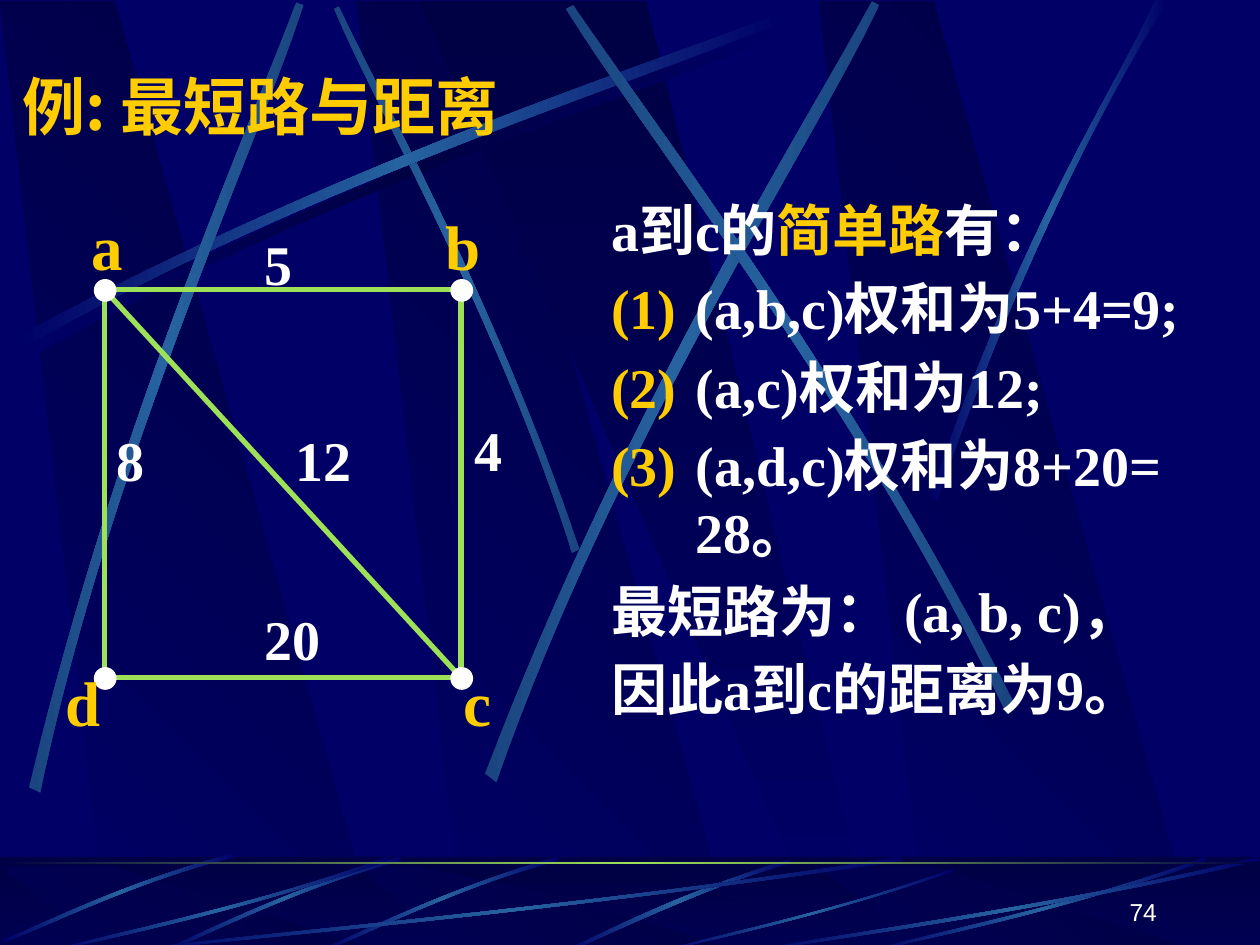
from lxml import etree
from pptx import Presentation
from pptx.dml.color import RGBColor
from pptx.enum.shapes import MSO_CONNECTOR, MSO_SHAPE
from pptx.enum.text import MSO_ANCHOR, MSO_AUTO_SIZE, PP_ALIGN
from pptx.oxml.ns import qn
from pptx.util import Inches, Pt

RECT, OVAL = MSO_SHAPE.RECTANGLE, MSO_SHAPE.OVAL
LINE = MSO_CONNECTOR.STRAIGHT
LEFT, RIGHT = PP_ALIGN.LEFT, PP_ALIGN.RIGHT
TOP, MIDDLE, BOTTOM = MSO_ANCHOR.TOP, MSO_ANCHOR.MIDDLE, MSO_ANCHOR.BOTTOM
FIXED = MSO_AUTO_SIZE.NONE
HAN = "Noto Sans CJK SC"
ROMAN = "Times New Roman"

COLORS = {"navy": "000066", "dark": "000044", "blue": "2663A0", "dim": "1A4580",
          "green": "9CE157", "gold": "FFCC00", "white": "FFFFFF"}
RGB = {name: RGBColor.from_string(value) for name, value in COLORS.items()}
STYLES = {
    "title": {"name": HAN, "size": Pt(36), "bold": True},
    "body": {"name": ROMAN, "size": Pt(32), "bold": True},
    "node": {"name": ROMAN, "size": Pt(36), "bold": True},
    "page": {"name": "Arial", "size": Pt(14), "bold": False},
}


def paint(shape, names, angle=0):
    """Borderless gradient with evenly spaced stops."""
    shape.shadow.inherit = False
    shape.line.fill.background()
    shape.fill.gradient()
    grad = shape.element.spPr.find(qn("a:gradFill"))
    stops = grad.find(qn("a:gsLst"))
    for stop in list(stops):
        stops.remove(stop)
    for i, name in enumerate(names):
        stop = etree.SubElement(stops, qn("a:gs"), pos=str(100000 * i // (len(names) - 1)))
        etree.SubElement(stop, qn("a:srgbClr"), val=COLORS[name])
    grad.find(qn("a:lin")).set("ang", str(angle * 60000))


def write(par, text, style, color):
    run = par.add_run()
    run.text = text
    for key, value in STYLES[style].items():
        setattr(run.font, key, value)
    run.font.color.rgb = RGB[color]
    etree.SubElement(run.font._element, qn("a:ea"), typeface=HAN)


prs = Presentation()
prs.slide_width, prs.slide_height = Inches(10), Inches(7.5)
slide = prs.slides.add_slide(prs.slide_layouts[1])
shapes = slide.shapes
master = prs.slide_master
master.background.fill.solid()
master.background.fill.fore_color.rgb = RGB["navy"]

# Backdrop panels, tall ones above and squat ones in the footer band
SLANT = [(0.86, 1), (3.02, 1), (0.91, 0), (0, 0)]
WEDGE = [(3.33, 0), (6.58, 1), (6.94, 1), (5.13, 0)]
PANELS = [([(x + dx, y) for x, y in SLANT], ["navy", "dark"], 315) for dx in (2.83, 0, 6.5)]
PANELS.append((WEDGE, ["dark", "navy"], 90))

# Each streak: edge curve, then the curve back (start, two controls, end)
RISE = [(0.14, 2.67), (2.78, 1.25), (5.18, 0.51), (6.2, 0.1),
        (6.23, 0.16), (5.22, 0.61), (2.48, 1.43), (0.17, 2.77)]
SHADE = [(x + 0.06, y + 0.08) for x, y in RISE]
FADE, SOLID = ["navy", "blue", "navy"], ["dim", "blue", "dim"]
STREAKS = [
    (SHADE, ["navy", "dark", "navy"], [0]),
    ([(4.6, 4.36), (3.91, 2.34), (3.02, 0.77), (2.69, 0.05),
      (2.65, 0.07), (2.95, 0.79), (3.98, 2.58), (4.54, 4.39)], SOLID, [0]),
    (RISE, FADE, [0]),
    ([(0.23, 6.25), (0.93, 3.34), (1.97, 1.05), (2.35, 0.02),
      (2.41, 0.04), (2.07, 1.09), (0.86, 3.68), (0.32, 6.29)], SOLID, [0]),
    ([(3.85, 6.14), (4.98, 3.2), (6.38, 1.02), (6.92, 0.01),
      (6.98, 0.04), (6.49, 1.08), (4.86, 3.55), (3.94, 6.21)], SOLID, [0]),
    ([(8.06, 5.6), (6.7, 2.93), (5.16, 0.95), (4.55, 0.04),
      (4.49, 0.07), (5.07, 1.01), (6.85, 3.25), (7.99, 5.67)], SOLID, [0]),
    ([(7.38, 3.94), (8.14, 1.73), (8.88, 0.66), (9.17, 0),
      (9.27, 0), (8.36, 1.45), (7.69, 3.22), (7.44, 3.97)], FADE, [0]),
]
WISPS = [
    ([(6.27, 6.82), (5.37, 7.09), (4.77, 7.42), (4.48, 7.54),
      (4.53, 7.55), (4.9, 7.38), (5.71, 7), (6.28, 6.85)], FADE, [0]),
    ([(4.42, 6.8), (3.55, 7.05), (2.87, 7.4), (2.56, 7.53),
      (2.57, 7.55), (2.88, 7.43), (3.65, 7.03), (4.44, 6.83)], FADE, [0, -1.25]),
    ([(1.86, 6.77), (0.99, 7), (0.33, 7.34), (0.02, 7.46),
      (0.03, 7.48), (0.34, 7.37), (1.1, 6.98), (1.88, 6.8)], FADE, [0]),
    ([(7.17, 6.83), (4.49, 7.23), (2.06, 7.44), (1.03, 7.55),
      (1, 7.54), (2.02, 7.41), (4.8, 7.18), (7.14, 6.8)], FADE, [0]),
    ([(3.08, 6.83), (1.93, 7.23), (0.88, 7.44), (0.43, 7.55),
      (0.42, 7.54), (0.86, 7.41), (2.06, 7.18), (3.07, 6.8)], FADE, [0, 6.5]),
    ([(7.58, 6.91), (6.58, 7.26), (5.67, 7.45), (5.28, 7.55),
      (5.27, 7.54), (5.65, 7.43), (6.69, 7.22), (7.57, 6.89)], FADE, [0]),
    ([(10, 6.83), (8.27, 7.23), (6.69, 7.44), (6.02, 7.55),
      (6, 7.54), (6.66, 7.41), (8.46, 7.18), (9.98, 6.8)], FADE, [0]),
]

group = shapes.add_group_shape()
art = group.shapes
BAND = [Inches(n) for n in (0, 6.8, 10, 0.75)]
for top, base, curves in ((0.01, 7.52, STREAKS), (6.88, 7.55, WISPS)):
    if curves is WISPS:
        paint(art.add_shape(RECT, *BAND), ["dark", "navy"], 90)
    outlines = [([(x, top + y * (base - top)) for x, y in points], names, angle)
                for points, names, angle in PANELS]
    outlines += [([(x + dx, y) for x, y in points], names, 0)
                 for points, names, shifts in curves for dx in shifts]
    for i, (points, names, angle) in enumerate(outlines):
        if curves is WISPS and i == len(PANELS):
            veil = art.add_shape(RECT, *BAND)
            veil.shadow.inherit = False
            veil.line.fill.background()
            veil.fill.solid()
            veil.fill.fore_color.rgb = RGB["dark"]
            tint = veil.element.spPr.find(qn("a:solidFill"))[0]
            etree.SubElement(tint, qn("a:alpha"), val="50000")
        spots = [(Inches(x), Inches(y)) for x, y in points]
        pen = art.build_freeform(*spots[0])
        pen.add_line_segments(spots[1:], close=True)
        form = pen.convert_to_shape()
        paint(form, names, angle)
        if len(points) == 8:
            # Turn the three segments on each side into one curve
            sides = list(form.element.iter(qn("a:lnTo")))
            for side in (sides[:3], sides[4:7]):
                curve = etree.Element(qn("a:cubicBezTo"))
                side[0].addprevious(curve)
                for seg in side:
                    curve.append(seg[0])
                    seg.getparent().remove(seg)

rule = art.add_shape(RECT, Inches(0), Inches(6.84), Inches(10), Inches(0.02))
paint(rule, ["dark", "green", "dark"])

# The backdrop belongs to the slide master
for i, node in enumerate(group.element.iter(qn("p:cNvPr")), 100):
    node.set("id", str(i))
master.placeholders[0].element.addprevious(group.element)

# Title and body
title, body = shapes.title, slide.placeholders[1]
for holder, box, anchor in ((title, (0.08, 0.48, 8.92, 0.71), MIDDLE),
                            (body, (4.75, 1.5, 4.92, 4.83), TOP)):
    holder.left, holder.top, holder.width, holder.height = map(Inches, box)
    frame = holder.text_frame
    frame.word_wrap, frame.auto_size, frame.vertical_anchor = True, FIXED, anchor
par = title.text_frame.paragraphs[0]
par.alignment = LEFT
write(par, "例: 最短路与距离", "title", "gold")

ROWS = [
    (False, [("a到c的", "white"), ("简单路", "gold"), ("有：", "white")]),
    (True, [("(a,b,c)权和为5+4=9;", "white")]),
    (True, [("(a,c)权和为12;", "white")]),
    (True, [("(a,d,c)权和为8+20= 28。", "white")]),
    (False, [("最短路为： (a, b, c)，", "white")]),
    (False, [("因此a到c的距离为9。", "white")]),
]
for i, (listed, runs) in enumerate(ROWS):
    par = body.text_frame.add_paragraph() if i else body.text_frame.paragraphs[0]
    par.space_before = Pt(6.4 if i else 0)
    props = par._p.get_or_add_pPr()
    props.set("marL", str(Inches(0.67)))
    props.set("indent", str(-Inches(0.67)))
    if listed:
        tint = etree.SubElement(props, qn("a:buClr"))
        etree.SubElement(tint, qn("a:srgbClr"), val=COLORS["gold"])
        etree.SubElement(props, qn("a:buFont"), typeface=ROMAN)
        etree.SubElement(props, qn("a:buAutoNum"), type="arabicParenBoth")
    else:
        etree.SubElement(props, qn("a:buNone"))
    for text, color in runs:
        write(par, text, "body", color)

# Weighted graph: frame, diagonal, nodes
graph = shapes.add_group_shape().shapes
X1, X2, Y1, Y2 = 0.83, 3.66, 2.3, 5.38
square = graph.add_shape(RECT, Inches(X1), Inches(Y1), Inches(X2 - X1), Inches(Y2 - Y1))
square.shadow.inherit = False
square.fill.background()
cross = graph.add_connector(LINE, Inches(X1), Inches(Y1), Inches(X2), Inches(Y2))
etree.SubElement(cross.element.spPr, qn("a:effectLst"))
for edge in (square, cross):
    edge.line.color.rgb = RGB["green"]
    edge.line.width = Pt(3)
for x in (X1, X2):
    for y in (Y1, Y2):
        dot = graph.add_shape(OVAL, Inches(x - 0.08), Inches(y - 0.08), Inches(0.17), Inches(0.17))
        dot.shadow.inherit = False
        dot.fill.solid()
        dot.fill.fore_color.rgb = dot.line.color.rgb = RGB["white"]
        dot.line.width = Pt(0.75)

# Node names, edge weights and page number
LABELS = [("a", 0.63, 1.6, 0.45), ("b", 3.44, 1.6, 0.48),
          ("c", 3.58, 5.22, 0.42), ("d", 0.42, 5.22, 0.48),
          ("5", 2, 1.77, 0.42), ("12", 2.25, 3.33, 0.65), ("4", 3.67, 3.25, 0.42),
          ("8", 0.83, 3.33, 0.42), ("20", 2, 4.75, 0.65)]
for text, x, y, w in LABELS:
    style, color, h = ("node", "gold", 0.7) if text.isalpha() else ("body", "white", 0.63)
    label = graph.add_textbox(Inches(x), Inches(y), Inches(w), Inches(h))
    label.text_frame.word_wrap = False
    write(label.text_frame.paragraphs[0], text, style, color)

page = shapes.add_textbox(Inches(7.2), Inches(6.9), Inches(2.08), Inches(0.5))
page.text_frame.word_wrap = True
page.text_frame.vertical_anchor = BOTTOM
page.text_frame.paragraphs[0].alignment = RIGHT
write(page.text_frame.paragraphs[0], "74", "page", "white")

prs.save("out.pptx")
